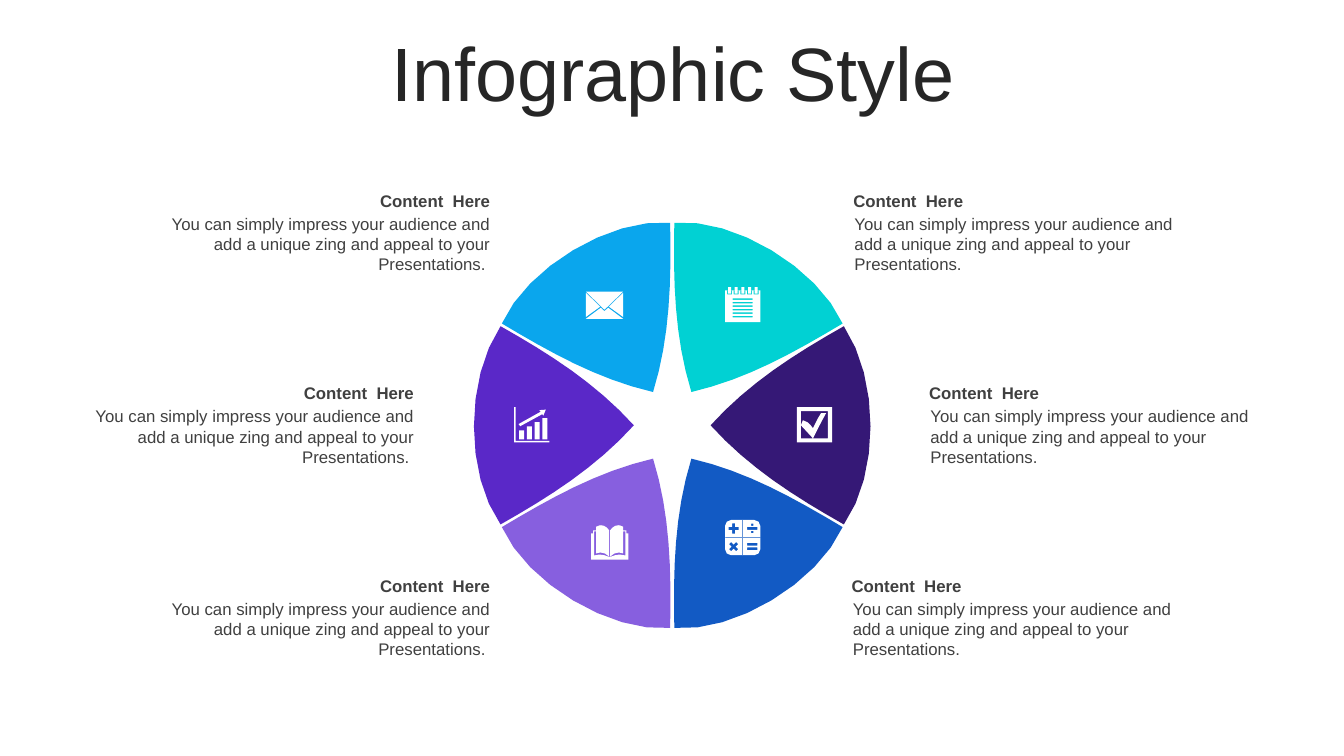
from math import cos, pi, radians, sin

from pptx import Presentation
from pptx.dml.color import RGBColor
from pptx.enum.text import MSO_ANCHOR, MSO_AUTO_SIZE, PP_ALIGN
from pptx.util import Pt

LEFT, CENTER, RIGHT = PP_ALIGN.LEFT, PP_ALIGN.CENTER, PP_ALIGN.RIGHT
TOP, MIDDLE = MSO_ANCHOR.TOP, MSO_ANCHOR.MIDDLE
NO_FIT = MSO_AUTO_SIZE.NONE
FONT, WHITE, GREY = "Arial", "FFFFFF", "404040"
ICON_UNIT = 0.72
HEADING = "Content  Here"
BODY = ("You can simply impress your audience and add a unique zing "
        "and appeal to your Presentations.")

TOP_LEFT_WEDGE = [(-1.5, -144.7), (-0.7, -103.7, -1.4, -63.4, -13.7, -23.8),
                  (-54, -33.1, -87.8, -52.6, -121.7, -72.7),
                  (-104, -112.5, -44, -148.5, -1.5, -144.7)]
RIGHT_WEDGE = [(122.6, -70.8), (148, -32.8, 148, 34.8, 122.6, 70.8),
               (87.8, 51.1, 54.7, 30.2, 27.4, 0),
               (54.7, -30.2, 87.8, -51.1, 122.6, -70.8)]
WEDGES = [(TOP_LEFT_WEDGE, 1, 1, "0AA6ED"), (TOP_LEFT_WEDGE, -1, 1, "01D1D3"),
          (TOP_LEFT_WEDGE, -1, -1, "125AC4"), (TOP_LEFT_WEDGE, 1, -1, "875FDF"),
          (RIGHT_WEDGE, 1, 1, "351876"), (RIGHT_WEDGE, -1, 1, "5A28C8")]


def rgb(hex_color):
    """Turn a hex string into a colour."""
    return RGBColor.from_string(hex_color)


def trace(steps, count=3):
    """Return the points of an outline of lines (x, y) and cubic curves."""
    points = [steps[0]]
    for step in steps[1:]:
        if len(step) == 2:
            points.append(step)
            continue
        x0, y0 = points[-1]
        x1, y1, x2, y2, x3, y3 = step
        for i in range(1, count + 1):
            t = i / count
            a, b, c, d = (1 - t) ** 3, 3 * t * (1 - t) ** 2, 3 * t * t * (1 - t), t ** 3
            points.append((a * x0 + b * x1 + c * x2 + d * x3,
                           a * y0 + b * y1 + c * y2 + d * y3))
    return points


def mirror(points, width):
    """Flip points left to right within a width."""
    return [(width - x, y) for x, y in points]


def block(x, y, w, h, r=0):
    """Return a rectangle with corners of radius r."""
    if not r:
        return [(x, y), (x + w, y), (x + w, y + h), (x, y + h)]
    centers = [(x + w - r, y + h - r), (x + r, y + h - r),
               (x + r, y + r), (x + w - r, y + r)]
    return [(cx + r * cos((k + i / 2) * pi / 2), cy + r * sin((k + i / 2) * pi / 2))
            for k, (cx, cy) in enumerate(centers) for i in range(3)]


def cross(cx, cy, angle, arm=5, half=1.5):
    """Return a plus sign turned by an angle in degrees."""
    points = []
    for k in range(4):
        turn = radians(angle + 90 * k)
        for x, y in [(arm, -half), (arm, half), (half, half)]:
            points.append((cx + x * cos(turn) - y * sin(turn),
                           cy + x * sin(turn) + y * cos(turn)))
    return points


def envelope():
    """Return the outlines of an envelope."""
    side = [(0, 1.2), (14.2, 15), (0, 25.2)]
    return [[(0, 0), (37, 0), (18.5, 18)], side, mirror(side, 37),
            [(0, 27), (14.9, 16), (18.5, 19.5), (22.1, 16), (37, 27)]]


def notepad():
    """Return the outlines of a ring-bound notepad."""
    rules = [block(7.5, 11 + 3.5 * i, 20, 1.5) for i in range(6)]
    notches = [block(2 + 6.6 * i, 3, 5, 4.2) for i in range(5)]
    rings = [block(3 + 6.6 * i, 0, 3, 6.3) for i in range(5)]
    return [block(0, 3, 35, 31.5)] + rules + notches + rings


def growth_chart():
    """Return the outlines of a bar chart with a rising arrow."""
    bars = [block(5 + 7.7 * i, 23 - 4 * i, 5, 9 + 4 * i) for i in range(4)]
    arrow = [(25, 3), (31.5, 2.5), (29, 8.5), (28, 7), (6, 19), (4.5, 16.8), (26.5, 4.5)]
    axes = [(0, 0), (1.6, 0), (1.6, 33.4), (35, 33.4), (35, 35), (0, 35)]
    return bars + [arrow, axes]


def calculator():
    """Return the outlines of a calculator."""
    gaps = [block(0, 17.1, 35, 0.8), block(17.1, 0, 0.8, 17.1), block(17.1, 17.9, 0.8, 17.1)]
    bars = [block(22, y, 10, 2.8) for y in (7, 22.7, 27.2)]
    dots = [block(25.9, y, 2.2, 2.2) for y in (3.7, 10.9)]
    return [block(0, 0, 35, 35, 6)] + gaps + bars + dots + [cross(8.5, 8.5, 0), cross(8.5, 26.5, 45)]


def book():
    """Return the outlines of an open book."""
    page = trace([(5, 1.5), (7, 0.8, 8, 0, 10, 0), (13, 0, 16, 2, 18, 5), (18, 31),
                  (14, 27, 9, 26, 5, 28)])
    cover = trace([(0, 34), (0, 8), (2, 8), (2, 5), (5, 5), (5, 6), (3, 6), (3, 30),
                   (9, 28, 13, 29.5, 18, 31.5)])
    return [page, mirror(page, 37), cover + mirror(cover, 37)[::-1]]


def checkbox():
    """Return the outlines of a ticked box."""
    tick = trace([(4, 18), (6, 13), (12, 15, 13, 17, 16, 21), (19, 15, 20, 12, 24, 6),
                  (29, 6), (25, 13, 20, 23, 16, 31)])
    return [block(0, 0, 35, 35), block(4, 4, 26.7, 27), tick]


def draw(slide, outlines, x, y, color, scale_x=1, scale_y=1):
    """Draw outlines as one filled shape about the point (x, y)."""
    placed = [[(Pt(x + px * scale_x), Pt(y + py * scale_y)) for px, py in outline]
              for outline in outlines]
    fb = slide.shapes.build_freeform(*placed[0][0])
    fb.add_line_segments(placed[0][1:])
    for outline in placed[1:]:
        fb.move_to(*outline[0])
        fb.add_line_segments(outline[1:])
    sp = fb.convert_to_shape()
    sp.shadow.inherit = False
    sp.fill.solid()
    sp.fill.fore_color.rgb = rgb(color)
    sp.line.fill.background()


def write(sp, text, size, color, align, anchor, bold=False):
    """Put one formatted paragraph into a shape."""
    tf = sp.text_frame
    tf.word_wrap = True
    tf.auto_size = NO_FIT
    tf.vertical_anchor = anchor
    tf.text = text
    p = tf.paragraphs[0]
    p.alignment = align
    font = p.runs[0].font
    font.name, font.size, font.bold = FONT, Pt(size), bold
    font.color.rgb = rgb(color)
    return p


def add_title(slide, x, y, w, h):
    """Fill and place the title."""
    sp = slide.shapes.title
    sp.left, sp.top, sp.width, sp.height = Pt(x), Pt(y), Pt(w), Pt(h)
    write(sp, "Infographic Style", 54, "262626", CENTER, MIDDLE).line_spacing = 0.9


def add_wheel(slide, cx, cy):
    """Draw six wedges around a centre, with their icons."""
    for steps, scale_x, scale_y, color in WEDGES:
        draw(slide, [trace(steps, 8)], cx, cy, color, scale_x, scale_y)
    icons = [(envelope, -61.7, -95.5), (notepad, 37.7, -98.6), (growth_chart, -113, -13),
             (calculator, 37.7, 67.6), (book, -58, 71.4), (checkbox, 89, -13)]
    for icon, x, y in icons:
        draw(slide, icon(), cx + x, cy + y, WHITE, ICON_UNIT, ICON_UNIT)


def add_caption(slide, x, y, align):
    """Place a heading with its text below it."""
    heading = slide.shapes.add_textbox(Pt(x), Pt(y), Pt(254), Pt(21.8))
    write(heading, HEADING, 12, GREY, align, MIDDLE, True)
    body = slide.shapes.add_textbox(Pt(x + 0.9), Pt(y + 16.6), Pt(253.3), Pt(50.9))
    write(body, BODY + (" " if align == RIGHT else ""), 12, GREY, align, TOP)


def main():
    """Build the slide."""
    prs = Presentation()
    prs.slide_width, prs.slide_height = Pt(960), Pt(540)
    slide = prs.slides.add_slide(prs.slide_layouts[5])
    add_title(slide, 25.2, 26.6, 911.5, 56.9)
    add_wheel(slide, 480.2, 303.8)
    for y, left_x, right_x in [(132.5, 103.2, 602.4), (270, 48.8, 656.6), (407.5, 103.2, 601.2)]:
        add_caption(slide, left_x, y, RIGHT)
        add_caption(slide, right_x, y, LEFT)
    prs.save("out.pptx")


if __name__ == "__main__":
    main()
